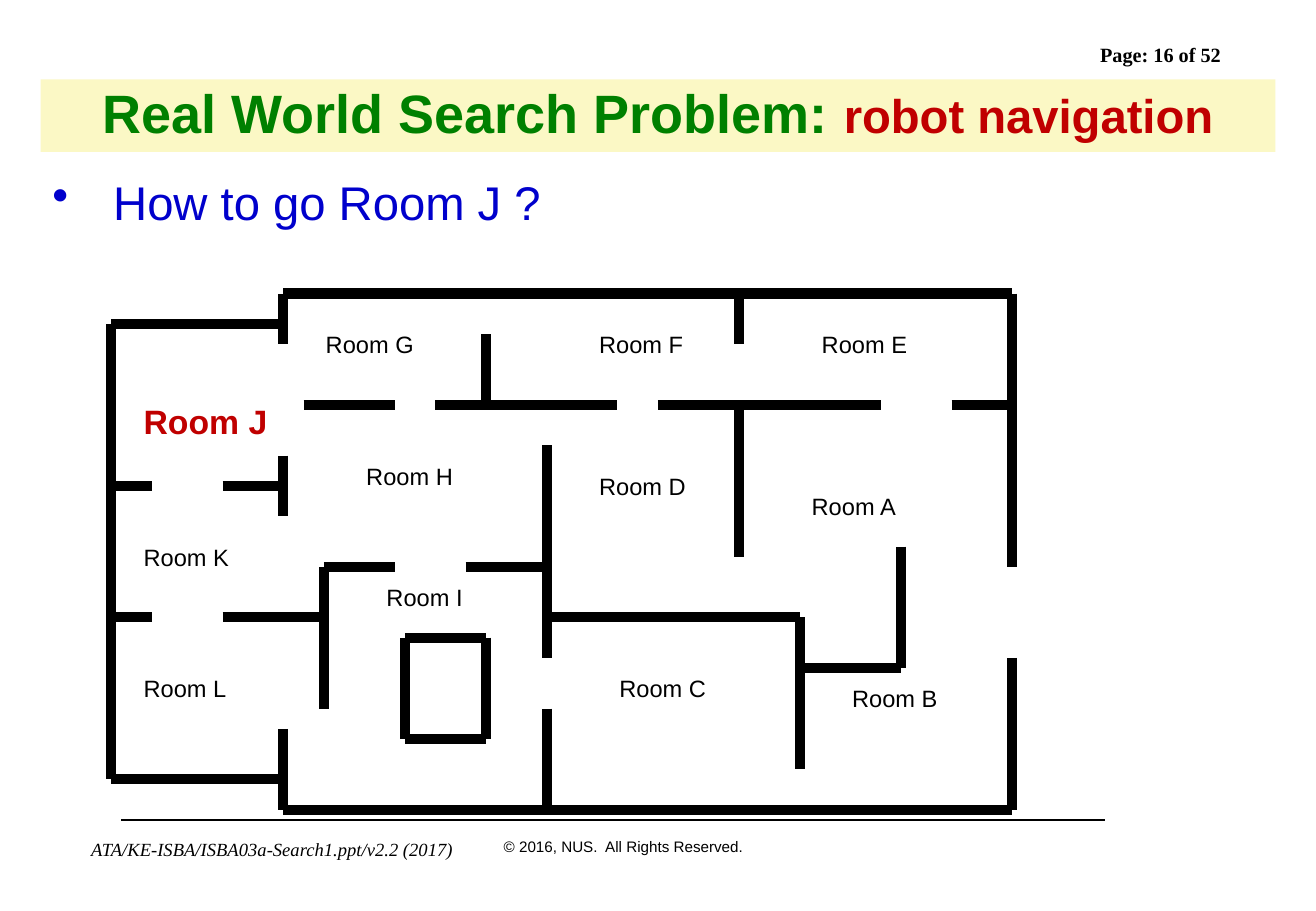
from pptx import Presentation
from pptx.dml.color import RGBColor
from pptx.enum.shapes import MSO_CONNECTOR, MSO_SHAPE
from pptx.enum.text import MSO_ANCHOR, PP_ALIGN
from pptx.oxml.ns import qn
from pptx.util import Pt
from lxml import etree

LINE, RECT = MSO_CONNECTOR.STRAIGHT, MSO_SHAPE.RECTANGLE
MIDDLE, TOP = MSO_ANCHOR.MIDDLE, MSO_ANCHOR.TOP
LEFT, CENTER = PP_ALIGN.LEFT, PP_ALIGN.CENTER

COLORS = {"black": "000000", "green": "008000", "red": "C00000",
          "blue": "0000CC", "cream": "FBF8C5"}
TITLE = [("Real World Search Problem: ", 32, "green"),
         ("robot navigation", 28, "red")]
QUESTION = "How to go Room J ?"
PAGE = "Page: 16 of 52"
SOURCE = "ATA/KE-ISBA/ISBA03a-Search1.ppt/v2.2 (2017)"
COPYRIGHT = "© 2016, NUS.  All Rights Reserved."

GRID = 6
WALL_WIDTH = 6
ROWS = {
    29: [(28, 100)],
    32: [(11, 28)],
    40: [(30, 39), (43, 61), (65, 87), (94, 100)],
    48: [(11, 15), (22, 28)],
    56: [(32, 39), (46, 54)],
    61: [(11, 15), (22, 32), (54, 79)],
    63: [(40, 48)],
    66: [(79, 89)],
    73: [(40, 48)],
    77: [(11, 28)],
    80: [(28, 100)],
}
COLUMNS = {
    11: [(32, 62), (61, 77)],
    28: [(29, 34), (45, 51), (72, 80)],
    32: [(56, 70)],
    40: [(63, 73)],
    48: [(33, 40), (63, 73)],
    54: [(44, 65), (70, 80)],
    73: [(29, 34), (40, 55)],
    79: [(61, 76)],
    89: [(54, 66)],
    100: [(29, 56), (65, 80)],
}
ROOMS = {"A": (79, 48), "B": (83, 67), "C": (60, 66), "D": (58, 46),
         "E": (80, 32), "F": (58, 32), "G": (31, 32), "H": (35, 45),
         "I": (37, 57), "J": (13, 39), "K": (13, 53), "L": (13, 66)}
GOAL = "J"

prs = Presentation()
prs.slide_width, prs.slide_height = Pt(780), Pt(540)
s = prs.slides.add_slide(prs.slide_layouts[6])


def rgb(name):
    return RGBColor.from_string(COLORS[name])


def add_text(runs, x, y, w, h, size=14, color="black", font="Arial", bold=False,
             italic=False, align=LEFT, anchor=TOP, fill=None, spacing=None, bullet=None):
    if fill:
        sp = s.shapes.add_shape(RECT, Pt(x), Pt(y), Pt(w), Pt(h))
        sp.shadow.inherit = False
        sp.fill.solid()
        sp.fill.fore_color.rgb = rgb(fill)
        sp.line.fill.background()
    else:
        sp = s.shapes.add_textbox(Pt(x), Pt(y), Pt(w), Pt(h))
    tf = sp.text_frame
    tf.word_wrap = True
    tf.vertical_anchor = anchor
    p = tf.paragraphs[0]
    p.alignment = align
    if spacing:
        p.line_spacing = spacing
    if bullet:
        pPr = p._p.get_or_add_pPr()
        pPr.set("marL", str(Pt(36)))
        pPr.set("indent", str(-Pt(36)))
        etree.SubElement(pPr, qn("a:buChar")).set("char", bullet)
    if isinstance(runs, str):
        runs = [(runs, size, color)]
    for text, run_size, run_color in runs:
        r = p.add_run()
        r.text = text
        r.font.name = font
        r.font.size = Pt(run_size)
        r.font.bold = bold
        r.font.italic = italic
        r.font.color.rgb = rgb(run_color)


def add_line(x1, y1, x2, y2, width):
    line = s.shapes.add_connector(LINE, Pt(x1), Pt(y1), Pt(x2), Pt(y2))
    line.line.color.rgb = rgb("black")
    line.line.width = Pt(width)
    etree.SubElement(line._element.spPr, qn("a:effectLst"))


add_line(72, 486, 655, 486, 1)
add_text(PAGE, 645, 21.5, 104, 22, size=12, font="Times New Roman", bold=True)
add_text(SOURCE, 47, 493, 232, 20, size=11, font="Times New Roman", italic=True)
add_text(COPYRIGHT, 291.5, 493, 160, 18, size=9)
add_text(TITLE, 24, 47, 732, 43, bold=True, align=CENTER, anchor=MIDDLE,
         fill="cream", spacing=0.9)
add_text(QUESTION, 24, 99, 732, 375, size=28, color="blue", bullet="•")

for y, spans in ROWS.items():
    for start, end in spans:
        add_line(start * GRID, y * GRID, end * GRID, y * GRID, WALL_WIDTH)
for x, spans in COLUMNS.items():
    for start, end in spans:
        add_line(x * GRID, start * GRID, x * GRID, end * GRID, WALL_WIDTH)

for room, (x, y) in ROOMS.items():
    is_goal = room == GOAL
    add_text(f"Room {room}", x * GRID, y * GRID, 90 if is_goal else 83, 31.5,
             size=20 if is_goal else 14, color="red" if is_goal else "black", bold=is_goal)

prs.save("out.pptx")
